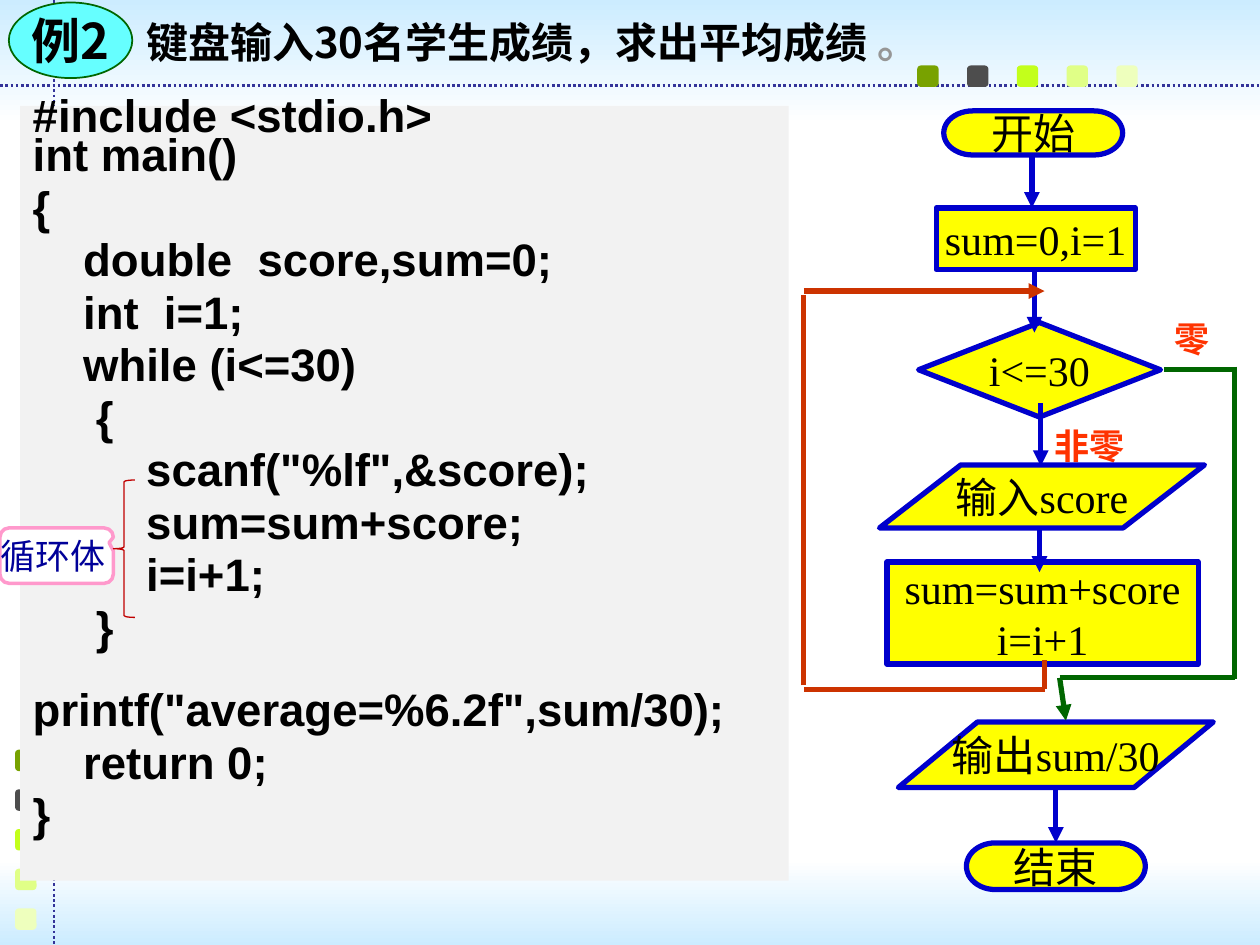
from dataclasses import dataclass

from lxml import etree
from pptx import Presentation
from pptx import util as u
from pptx.dml.color import RGBColor
from pptx.enum import dml, shapes, text
from pptx.oxml import ns

SHAPE = shapes.MSO_SHAPE
ALIGN = text.PP_ALIGN


@dataclass(frozen=True)
class Theme:
    sky: str = "CCECFF"
    white: str = "FFFFFF"
    rule: str = "333399"
    squares: tuple = ("78A200", "4D4D4D", "C3FF1B", "E0FF87", "EEFFBD")
    black: str = "000000"
    grey: str = "969696"
    panel: str = "F2F2F2"
    badge: str = "66FFFF"
    node: str = "FFFF00"
    flow: str = "0000CC"
    loop: str = "CC3300"
    leave: str = "006600"
    label: str = "FF3300"
    pink: str = "FF99CC"
    note: str = "000099"
    brace: str = "C00000"
    cjk: str = "Noto Sans CJK SC"
    sans: str = "Arial"
    serif: str = "Times New Roman"
    badge_size: int = 28
    code_size: int = 26
    body_size: int = 24
    label_size: int = 20


THEME = Theme()

CODE = """#include <stdio.h>
int main()
{
    double  score,sum=0;
    int  i=1;
    while (i<=30)
     {
         scanf("%lf",&score);
         sum=sum+score;
         i=i+1;
     }
    printf("average=%6.2f",sum/30);
    return 0;
}"""


def rgb(value):
    return RGBColor.from_string(value)


def place(shape, left, top, width, height):
    shape.left, shape.top = u.Inches(left), u.Inches(top)
    shape.width, shape.height = u.Inches(width), u.Inches(height)


def style_run(run, font, size, color, bold=False):
    run.font.size, run.font.bold, run.font.name = u.Pt(size), bold, font
    run.font.color.rgb = rgb(color)
    east_asian = etree.SubElement(run.font._element, ns.qn("a:ea"))
    east_asian.set("typeface", THEME.cjk)


def write(shape, content, font, size, color, bold=False, align=ALIGN.CENTER,
          anchor=text.MSO_ANCHOR.MIDDLE, wrap=False):
    frame = shape.text_frame
    frame.text = content
    frame.word_wrap, frame.vertical_anchor = wrap, anchor
    frame.auto_size = text.MSO_AUTO_SIZE.NONE
    for paragraph in frame.paragraphs:
        paragraph.alignment = align
        for run in paragraph.runs:
            style_run(run, font, size, color, bold)


def add_shape(slide, kind, box, fill=None, line=None, width=1, adjust=()):
    shape = slide.shapes.add_shape(kind, *map(u.Inches, box))
    shape.shadow.inherit = False
    for index, value in enumerate(adjust):
        shape.adjustments[index] = value
    if fill:
        shape.fill.solid()
        shape.fill.fore_color.rgb = rgb(fill)
    else:
        shape.fill.background()
    if line:
        shape.line.color.rgb, shape.line.width = rgb(line), u.Pt(width)
    else:
        shape.line.fill.background()
    return shape


def add_line(slide, start, end, color, width=3, arrow=False):
    line = slide.shapes.add_connector(
        shapes.MSO_CONNECTOR.STRAIGHT, *map(u.Inches, (*start, *end)))
    line.line.color.rgb, line.line.width = rgb(color), u.Pt(width)
    if arrow:
        tail = etree.SubElement(line.line._get_or_add_ln(), ns.qn("a:tailEnd"))
        tail.set("type", "triangle")
    etree.SubElement(line._element.spPr, ns.qn("a:effectLst"))
    return line


def add_backdrop(slide, width, height):
    # Fading bands at the top and bottom
    bands = ((0, 0.99, (THEME.sky, THEME.white)),
             (height - 0.68, 0.68, (THEME.white, THEME.sky)))
    for top, depth, colors in bands:
        band = add_shape(slide, SHAPE.RECTANGLE, (0, top, width, depth))
        band.fill.gradient()
        band.fill.gradient_angle = 270
        for stop, color, position in zip(band.fill.gradient_stops, colors, (0, 1)):
            stop.color.rgb, stop.position = rgb(color), position
    # Dotted rules, each with a row of small squares
    for start, end in (((0, 0.68), (width, 0.68)), ((0.43, 0), (0.43, height))):
        rule = add_line(slide, start, end, THEME.rule, 1.5)
        rule.line.dash_style = dml.MSO_LINE.ROUND_DOT
    for index, color in enumerate(THEME.squares):
        for left, top in ((7.28 + 0.395 * index, 0.52), (0.12, 5.95 + 0.315 * index)):
            add_shape(slide, SHAPE.ROUNDED_RECTANGLE, (left, top, 0.17, 0.17), color)


def add_heading(slide, left, top):
    title = slide.shapes.title
    slide.shapes._spTree.append(title._element)  # in front of the backdrop
    place(title, left + 0.99, top + 0.06, 7.1, 0.51)
    write(title, "键盘输入30名学生成绩，求出平均成绩 ", THEME.cjk, THEME.body_size,
          THEME.black, True, ALIGN.LEFT, text.MSO_ANCHOR.TOP, True)
    stop = title.text_frame.paragraphs[0].add_run()
    stop.text = "。"
    style_run(stop, THEME.cjk, THEME.body_size, THEME.grey, True)
    badge = add_shape(slide, SHAPE.OVAL, (left, top, 0.98, 0.6), THEME.badge, THEME.leave)
    write(badge, "例2", THEME.cjk, THEME.badge_size, THEME.black, True)


def add_code(slide, left, top, width, height):
    panel = slide.placeholders[1]
    slide.shapes._spTree.append(panel._element)
    place(panel, left, top, width, height)
    panel.fill.solid()
    panel.fill.fore_color.rgb = rgb(THEME.panel)
    write(panel, CODE, THEME.sans, THEME.code_size, THEME.black, True,
          ALIGN.LEFT, text.MSO_ANCHOR.TOP, True)
    for index, paragraph in enumerate(panel.text_frame.paragraphs):
        properties = paragraph._p.get_or_add_pPr()
        properties.set("marL", "0")
        properties.set("indent", "0")
        etree.SubElement(properties, ns.qn("a:buNone"))
        paragraph.line_spacing = u.Pt(17)
        paragraph.space_before = u.Pt((0, 5.2)[index] if index < 2 else 13)
    # Brace and note marking the loop body
    note = add_shape(slide, SHAPE.ROUNDED_RECTANGULAR_CALLOUT,
                     (left - 0.16, top + 3.35, 0.9, 0.44), THEME.white, THEME.pink, 2,
                     (0.463, -0.234, 0.167))
    write(note, "循环体 ", THEME.sans, THEME.label_size, THEME.note)
    add_shape(slide, SHAPE.LEFT_BRACE, (left + 0.74, top + 2.97, 0.17, 1.09),
              line=THEME.brace, width=0.75, adjust=(0.083, 0.5))


def add_flowchart(slide, left, top):
    # Branch labels
    for content, x, y, width in (("零", 2.79, 1.59, 0.58), ("非零", 1.73, 2.44, 1.08)):
        label = slide.shapes.add_textbox(
            *map(u.Inches, (left + x, top + y, width, 0.43)))
        write(label, content, THEME.serif, THEME.label_size, THEME.label, True,
              anchor=text.MSO_ANCHOR.TOP, wrap=True)
    # Steps: text, kind, box, adjustments
    steps = (
        ("开始", SHAPE.FLOWCHART_TERMINATOR, (1.11, 0, 1.42, 0.35), ()),
        ("sum=0,i=1", SHAPE.RECTANGLE, (1.05, 0.77, 1.58, 0.49), ()),
        ("i<=30", SHAPE.FLOWCHART_DECISION, (0.91, 1.68, 1.92, 0.75), ()),
        ("输入score", SHAPE.PARALLELOGRAM, (0.6, 2.81, 2.58, 0.5), (1.292,)),
        ("sum=sum+score\ni=i+1", SHAPE.RECTANGLE, (0.66, 3.58, 2.47, 0.81), ()),
        ("输出sum/30", SHAPE.PARALLELOGRAM, (0.75, 4.85, 2.5, 0.52), (1.208,)),
        ("结束", SHAPE.FLOWCHART_TERMINATOR, (1.29, 5.81, 1.42, 0.37), ()),
    )
    for content, kind, (x, y, width, height), adjust in steps:
        step = add_shape(slide, kind, (left + x, top + y, width, height),
                         THEME.node, THEME.flow, 3, adjust)
        write(step, content, THEME.serif, THEME.body_size, THEME.black)

    def connect(color, *segments):
        for x1, y1, x2, y2, arrow in segments:
            add_line(slide, (left + x1, top + y1), (left + x2, top + y2),
                     color, arrow=arrow)

    # Downward flow
    connect(THEME.flow, *((x, y1, x, y2, True) for x, y1, y2 in (
        (1.81, 0.36, 0.77), (1.83, 1.26, 1.76), (1.88, 2.32, 2.82),
        (1.87, 3.33, 3.66), (2, 5.36, 5.81))))
    # Way back to the test
    connect(THEME.loop, (1.91, 4.36, 1.91, 4.59, False), (1.91, 4.59, 0, 4.59, False),
            (0, 4.56, 0, 1.46, False), (0, 1.43, 1.91, 1.43, True))
    # Way out of the loop
    connect(THEME.leave, (2.86, 2.05, 3.41, 2.05, False), (3.42, 2.03, 3.42, 4.51, False),
            (2.03, 4.5, 3.42, 4.5, False), (2.03, 4.5, 2.08, 4.84, True))


def main():
    presentation = Presentation()
    width, height = 10, 7.5
    presentation.slide_width, presentation.slide_height = u.Inches(width), u.Inches(height)
    slide = presentation.slides.add_slide(presentation.slide_layouts[1])
    add_backdrop(slide, width, height)
    add_code(slide, 0.16, 0.84, 6.1, 6.15)
    add_flowchart(slide, 6.38, 0.88)
    add_heading(slide, 0.07, 0.02)
    presentation.save("out.pptx")


if __name__ == "__main__":
    main()
